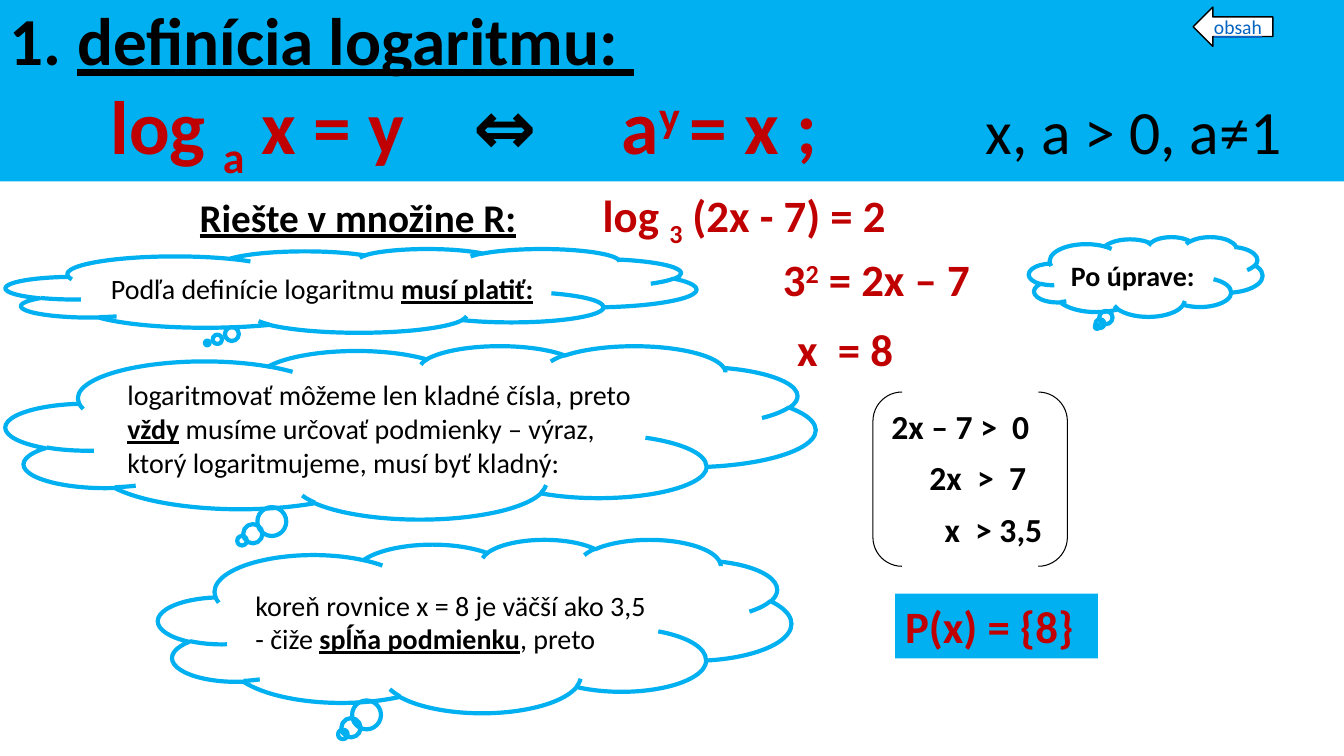
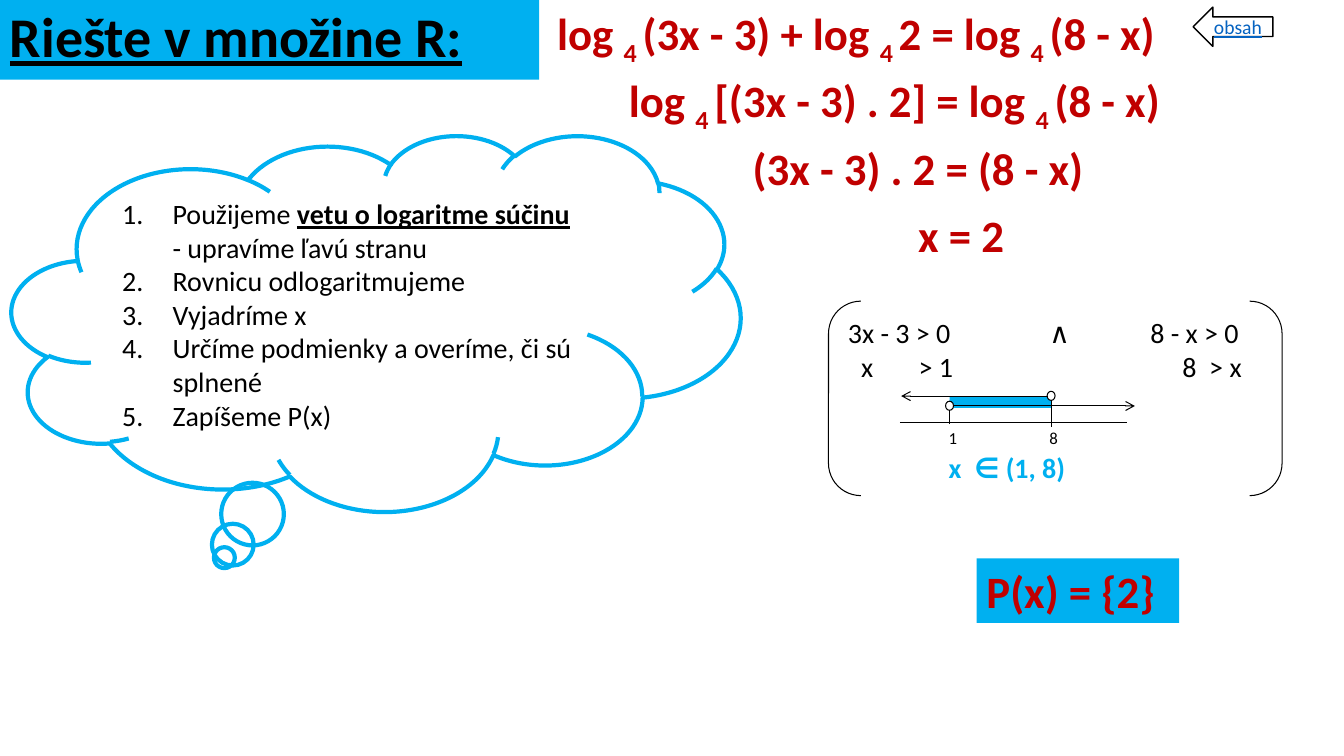
from lxml import etree
from pptx import Presentation
from pptx.dml.color import RGBColor
from pptx.enum.shapes import MSO_CONNECTOR, MSO_SHAPE
from pptx.enum.text import MSO_ANCHOR, PP_ALIGN
from pptx.oxml.ns import qn
from pptx.util import Cm, Pt

RECT, OVAL = MSO_SHAPE.RECTANGLE, MSO_SHAPE.OVAL
CLOUD, ARROW = MSO_SHAPE.CLOUD_CALLOUT, MSO_SHAPE.LEFT_ARROW
PAIR = MSO_SHAPE.DOUBLE_BRACKET
LINE = MSO_CONNECTOR.STRAIGHT
TOP, MIDDLE = MSO_ANCHOR.TOP, MSO_ANCHOR.MIDDLE
LEFT, CENTER = PP_ALIGN.LEFT, PP_ALIGN.CENTER

FONT = "Calibri"
COLORS = {"sky": "00B0F0", "red": "C00000", "black": "000000",
          "white": "FFFFFF", "link": "0563C1"}
WIDE, HIGH = 33.87, 19.05
ROW = 1.63  # height of a line of 32 pt text

# Run styles
KEY = {"bold": True, "under": True}
LOW = {"base": -25}
UP = {"base": 30}


def rgb(name):
    return RGBColor.from_string(COLORS[name])


def style(font, size=None, color=None, bold=None, under=None):
    if size:
        font.size = Pt(size)
    if color:
        font.color.rgb = rgb(color)
    if bold is not None:
        font.bold = bold
    if under is not None:
        font.underline = under


def para(*runs, tabs=(), indent=0, number=False, before=0, after=0,
         space=None, align=LEFT, **look):
    """Describe a paragraph; a run is a string or a (string, style) pair."""
    return {"runs": runs, "tabs": tabs, "indent": indent, "number": number,
            "before": before, "after": after, "space": space,
            "align": align, "look": look}


def write(shape, paras, anchor=TOP, wrap=True):
    frame = shape.text_frame
    frame.word_wrap = wrap
    frame.vertical_anchor = anchor
    for i, item in enumerate(paras):
        p = frame.paragraphs[0] if i == 0 else frame.add_paragraph()
        p.alignment = item["align"]
        if item["space"]:
            p.line_spacing = item["space"]
        if item["before"]:
            p.space_before = Pt(item["before"])
        if item["after"]:
            p.space_after = Pt(item["after"])
        props = p._p.get_or_add_pPr()
        if item["indent"]:
            props.set("marL", str(Cm(item["indent"])))
        if item["number"]:
            props.set("indent", str(-Cm(item["indent"])))
            etree.SubElement(props, qn("a:buAutoNum"), type="arabicPeriod")
        if item["tabs"]:
            stops = etree.SubElement(props, qn("a:tabLst"))
            for stop in item["tabs"]:
                etree.SubElement(stops, qn("a:tab"), pos=str(Cm(stop)), algn="l")
        p.font.name = FONT
        style(p.font, **item["look"])
        for part in item["runs"]:
            text, look = (part, {}) if isinstance(part, str) else part
            look = dict(look)
            base = look.pop("base", None)
            run = p.add_run()
            run.text = text
            style(run.font, **look)
            if base:
                run._r.get_or_add_rPr().set("baseline", str(base * 1000))


def shape(slide, kind, box, fill=None, line=None, width=0.75):
    item = slide.shapes.add_shape(kind, *map(Cm, box))
    item.shadow.inherit = False
    if fill:
        item.fill.solid()
        item.fill.fore_color.rgb = rgb(fill)
    else:
        item.fill.background()
    if line:
        item.line.color.rgb = rgb(line)
        item.line.width = Pt(width)
    else:
        item.line.fill.background()
    return item


def stroke(slide, x1, y1, x2, y2, tip=False):
    item = slide.shapes.add_connector(LINE, *map(Cm, (x1, y1, x2, y2)))
    item.line.color.rgb = rgb("black")
    item.line.width = Pt(0.75)
    props = item._element.spPr
    if tip:
        etree.SubElement(item.line._get_or_add_ln(), qn("a:tailEnd"), type="arrow")
    etree.SubElement(props, qn("a:effectLst"))


def title(slide, box, *paras):
    write(shape(slide, RECT, box, "sky"), paras, MIDDLE)


def cloud(slide, box, *paras):
    write(shape(slide, CLOUD, box, line="sky", width=3), paras, MIDDLE)


def bracket(slide, box, *paras):
    write(shape(slide, PAIR, box, line="black"), paras)


def note(slide, box, item):
    write(slide.shapes.add_textbox(*map(Cm, box)), [item])


def step(slide, x, y, width, *runs):
    note(slide, (x, y, width, ROW), para(*runs, size=32, color="red", bold=True))


def result(slide, x, y, text):
    item = shape(slide, RECT, (x, y, 5.11, ROW), "sky")
    write(item, [para(text, size=32, color="red", bold=True)])


def back(slide):
    item = shape(slide, ARROW, (30.07, 0.18, 2.01, 0.99), "white", "black", 1)
    label = para("obsah", align=CENTER, size=14, color="link", under=True)
    write(item, [label], MIDDLE, wrap=False)


def domain(slide, x, y):
    """Bracketed conditions with the interval drawn on a number line."""
    one, eight = x + 3.05, x + 5.61
    upper, lower, axis = y + 2.39, y + 2.64, y + 3.05
    shape(slide, RECT, (one, upper, eight - one, 0.3), "sky")
    text = {"size": 20, "color": "black"}
    bracket(slide, (x, y, 11.43, 4.9),
            para("3x - 3 > 0\t∧\t8 - x > 0", tabs=(5.08, 7.62), **text),
            para("\tx\t> 1\t8  > x", tabs=(0.33, 1.78, 8.43), **text),
            para("\t1\t8", tabs=(2.54, 5.08), before=32, after=2,
                 size=12, color="black"),
            para("\tx  ∈ (1, 8)", tabs=(2.54,), size=20, color="sky", bold=True))
    # Rays, axis, end points and ticks
    stroke(slide, one, lower, x + 7.72, lower, tip=True)
    stroke(slide, eight, upper, x + 1.83, upper, tip=True)
    stroke(slide, x + 1.8, axis, x + 7.52, axis)
    for end, level, foot in ((one, lower, 3.1), (eight, upper, 3.18)):
        shape(slide, OVAL, (end - 0.1, level - 0.12, 0.2, 0.23), "white", "black")
        stroke(slide, end, level + 0.1, end, y + foot)


def definition(slide):
    title(slide, (0, 0, WIDE, 4.57),
          para("1. ", ("definícia logaritmu: ", {"under": True}),
               space=0.9, size=48, color="black", bold=True),
          para("\tlog ", ("a", LOW), " x = y\t", ("⇔", {"color": "black"}),
               "\ta", ("y ", UP), "= x ;\t",
               ("x, a > 0, a≠1", {"size": 44, "color": "black", "bold": False}),
               tabs=(2.54, 11.68, 15.42, 24.59), space=0.9,
               size=54, color="red", bold=True))
    # Equation and its solution
    big = {"size": 32, "color": "red"}
    note(slide, (4.78, 4.6, 18.03, ROW),
         para(("Riešte v množine R:", {"size": 28, "color": "black", "under": True}),
              ("\tlog ", big), ("3", {**big, **LOW}), (" (2x - 7) = 2", big),
              tabs=(10.16,), bold=True))
    step(slide, 19.48, 6.22, 5.33, "3", ("2", UP), " = 2x – 7")
    step(slide, 19.84, 7.98, 3.23, "x  = 8")
    # Reasoning
    text = {"size": 20, "color": "black"}
    cloud(slide, (0.15, 6.27, 17.4, 2.11),
          para("Podľa definície logaritmu ", ("musí platiť:", KEY), **text))
    cloud(slide, (25.93, 5.97, 5.89, 2.01),
          para("Po úprave:", bold=True, **text))
    cloud(slide, (0.15, 8.71, 20.4, 4.37),
          para("logaritmovať môžeme len kladné čísla, preto ", ("vždy", KEY),
               " musíme určovať podmienky – výraz, ktorý logaritmujeme, "
               "musí byť kladný:", **text))
    cloud(slide, (3.99, 13.59, 15.95, 4.37),
          para("koreň rovnice x = 8 je väčší ako 3,5 - čiže ",
               ("spĺňa podmienku", KEY), ", preto", **text))
    # Condition and result
    rows = (("2x – 7 >  0", 0), ("2x  >  7", 0.96), ("x  > 3,5", 1.34))
    bracket(slide, (22, 9.88, 4.9, 4.39),
            *(para(row, indent=gap, after=8, size=24, color="black", bold=True)
              for row, gap in rows))
    result(slide, 22.56, 14.96, "P(x) = {8}")
    back(slide)


def product(slide):
    title(slide, (0, 0, 13.59, 2.01),
          para("Riešte v množine R:", space=0.9, size=40, color="black",
               bold=True, under=True))
    # Equation and its solution
    four = ("4 ", LOW)
    right = (four, "(8 - x)")
    steps = ((13.79, 16.36, ("log ", four, "(3x - 3) + log ", four, "2 = log ", *right)),
             (15.6, 14.58, ("log ", four, "[(3x - 3) . 2] = log ", *right)),
             (18.72, 9.12, ("(3x - 3) . 2 = (8 - x)",)),
             (22.89, 3, ("x = 2",)))
    for i, (x, width, runs) in enumerate(steps):
        step(slide, x, 0.03 + 1.69 * i, width, *runs)
    # Procedure
    tasks = (("Použijeme ", ("vetu o logaritme súčinu ", KEY),
              "- upravíme ľavú stranu"),
             ("Rovnicu odlogaritmujeme",),
             ("Vyjadríme x",),
             ("Určíme podmienky a overíme, či sú splnené",),
             ("Zapíšeme P(x)",))
    cloud(slide, (0.3, 3.4, 18.36, 9.47),
          *(para(*task, indent=1.27, number=True, size=20, color="black")
            for task in tasks))
    # Condition and result
    domain(slide, 20.88, 7.59)
    result(slide, 24.61, 14.07, "P(x) = {2}")
    back(slide)


def main():
    deck = Presentation()
    deck.slide_width, deck.slide_height = Cm(WIDE), Cm(HIGH)
    for build in (definition, product):
        build(deck.slides.add_slide(deck.slide_layouts[6]))
    deck.save("out.pptx")


if __name__ == "__main__":
    main()
